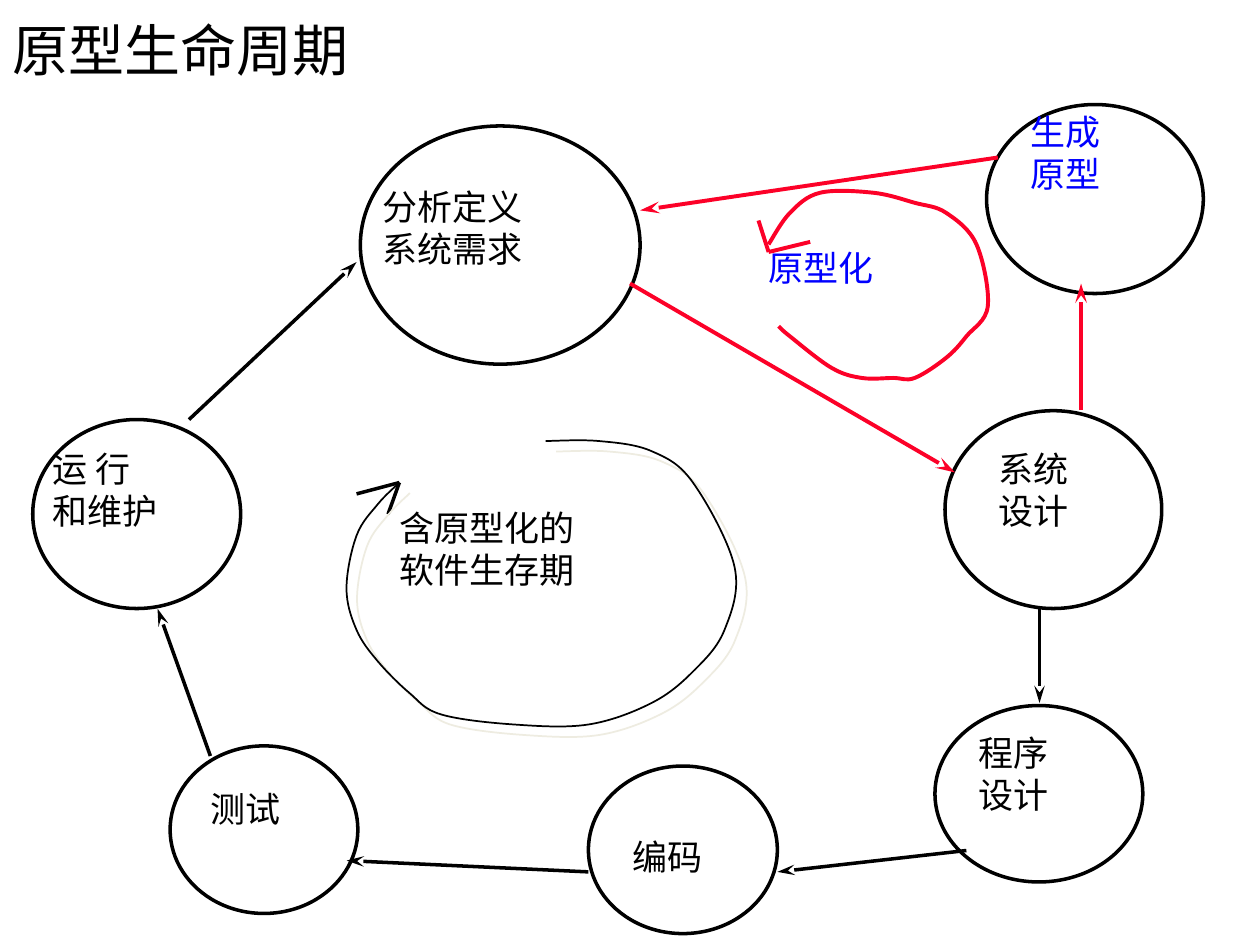
from dataclasses import dataclass

from lxml.etree import SubElement
from pptx import Presentation
from pptx.dml.color import RGBColor
from pptx.enum.shapes import MSO_CONNECTOR, MSO_SHAPE
from pptx.oxml.ns import qn
from pptx.util import Inches, Pt


@dataclass(frozen=True)
class Theme:
    black: str = "000000"
    red: str = "FC0128"
    blue: str = "0000FF"
    shade: str = "EEECE1"
    font: str = "Noto Sans CJK SC"
    head: str = "Calibri"
    title: int = 32
    body: int = 20
    thin: float = 1
    line: float = 2
    bold: float = 2.25


THEME = Theme()

# Circles: left, top, width, height
NODES = [
    (2.86, 1, 2.22, 1.89),
    (0.26, 3.33, 1.65, 1.5),
    (7.83, 0.83, 1.72, 1.5),
    (7.5, 3.26, 1.72, 1.57),
    (7.42, 5.6, 1.65, 1.4),
    (1.35, 5.92, 1.49, 1.33),
    (4.67, 6.08, 1.5, 1.33),
]

# Labels: left, top, width, height, text, colour
LABELS = [
    (2.94, 1.42, 1.33, 0.77, "分析定义\n系统需求", THEME.black),
    (8.08, 0.83, 1.2, 0.77, "生成\n原型", THEME.blue),
    (7.83, 3.5, 0.76, 0.77, "系统\n设计", THEME.black),
    (7.67, 5.76, 0.76, 0.77, "程序\n设计", THEME.black),
    (4.92, 6.58, 0.76, 0.44, "编码", THEME.black),
    (1.57, 6.2, 0.76, 0.44, "测试", THEME.black),
    (0.32, 3.5, 1.04, 0.77, "运 行\n和维护", THEME.black),
    (6, 1.91, 1.04, 0.44, "原型化", THEME.blue),
    (3.07, 3.97, 1.61, 0.77, "含原型化的\n软件生存期", THEME.black),
]

# Straight lines: start, end
PROTO_STEPS = [
    ((7.92, 1.25), (5.08, 1.67)),
    ((5, 2.25), (7.58, 3.75)),
    ((8.58, 3.25), (8.58, 2.25)),
]
CYCLE_STEPS = [
    ((8.25, 4.83), (8.25, 5.58)),
    ((7.67, 6.75), (6.17, 6.92)),
    ((4.67, 6.92), (2.75, 6.83)),
    ((1.67, 6), (1.25, 4.83)),
    ((1.5, 3.33), (2.83, 2.08)),
]
PROTO_TIP = [((6.1, 2), (6.43, 1.92)), ((6.1, 2), (6.02, 1.75))]
CYCLE_TIP = [((2.83, 3.92), (3.17, 3.83)), ((3.17, 3.83), (3.08, 4.08))]

# Points that each loop passes through
PROTO_LOOP = [
    (6.1, 1.94), (6.27, 1.69), (6.51, 1.53), (6.93, 1.53), (7.26, 1.61),
    (7.51, 1.69), (7.75, 1.94), (7.84, 2.43), (7.67, 2.67), (7.51, 2.84),
    (7.26, 3), (7.09, 3), (6.84, 3), (6.6, 2.92), (6.27, 2.67), (6.18, 2.59),
]
CYCLE_LOOP = [
    (3.17, 3.83), (3, 4), (2.83, 4.25), (2.75, 4.67), (2.83, 5), (3, 5.25),
    (3.25, 5.5), (3.5, 5.67), (4.08, 5.75), (4.67, 5.75), (5.17, 5.58),
    (5.5, 5.33), (5.75, 5), (5.83, 4.5), (5.5, 3.83), (5.17, 3.58),
    (4.75, 3.5), (4.33, 3.5),
]


def set_line(shape, color, width):
    shape.line.color.rgb = RGBColor.from_string(color)
    shape.line.width = Pt(width)


def add_text(slide, box, text, color, size, font, wrap=False):
    shape = slide.shapes.add_textbox(*map(Inches, box))
    frame = shape.text_frame
    frame.word_wrap = wrap
    frame.text = text
    for para in frame.paragraphs:
        for run in para.runs:
            run.font.size = Pt(size)
            run.font.name = font
            run.font.color.rgb = RGBColor.from_string(color)
            east = SubElement(run._r.get_or_add_rPr(), qn("a:ea"))
            east.set("typeface", THEME.font)


def add_node(slide, box):
    node = slide.shapes.add_shape(MSO_SHAPE.OVAL, *map(Inches, box))
    node.shadow.inherit = False
    node.fill.background()
    set_line(node, THEME.black, THEME.line)


def add_line(slide, start, end, color, width, arrow=False):
    line = slide.shapes.add_connector(
        MSO_CONNECTOR.STRAIGHT, *map(Inches, start + end))
    set_line(line, color, width)
    SubElement(line._element.spPr, qn("a:effectLst"))
    if arrow:
        tail = SubElement(line.line._get_or_add_ln(), qn("a:tailEnd"))
        tail.set("type", "stealth")
        tail.set("w", "med")
        tail.set("len", "lg")


def bend(shape):
    """Turn the straight segments of a freeform into smooth cubic curves."""
    track = next(shape._element.spPr.iter(qn("a:path")))
    points = [(int(pt.get("x")), int(pt.get("y")))
              for pt in track.iter(qn("a:pt"))]
    for seg in track.findall(qn("a:lnTo")):
        track.remove(seg)
    ends = [points[0], *points, points[-1]]
    for a, b, c, d in zip(ends, ends[1:], ends[2:], ends[3:]):
        lead = [q + (r - p) / 6 for p, q, r in zip(a, b, c)]
        trail = [q - (r - p) / 6 for p, q, r in zip(b, c, d)]
        curve = SubElement(track, qn("a:cubicBezTo"))
        for x, y in (lead, trail, c):
            pt = SubElement(curve, qn("a:pt"))
            pt.set("x", str(round(x)))
            pt.set("y", str(round(y)))


def add_loop(slide, points, color, width):
    start, *rest = [(Inches(x), Inches(y)) for x, y in points]
    pen = slide.shapes.build_freeform(*start)
    pen.add_line_segments(rest, close=False)
    loop = pen.convert_to_shape()
    bend(loop)
    loop.shadow.inherit = False
    loop.fill.background()
    set_line(loop, color, width)
    return loop


def add_shadow(shape):
    effects = shape._element.spPr.find(qn("a:effectLst"))
    outer = SubElement(effects, qn("a:outerShdw"))
    outer.set("dist", str(Pt(8.5)))
    outer.set("dir", str(45 * 60000))
    outer.set("algn", "ctr")
    outer.set("rotWithShape", "0")
    SubElement(outer, qn("a:srgbClr")).set("val", THEME.shade)


def main():
    deck = Presentation()
    deck.slide_width, deck.slide_height = Inches(10), Inches(7.5)
    slide = deck.slides.add_slide(deck.slide_layouts[6])

    add_text(slide, (0, 0.07, 3.59, 0.72), "原型生命周期",
             THEME.black, THEME.title, THEME.head, wrap=True)
    for box in NODES:
        add_node(slide, box)
    for *box, text, color in LABELS:
        add_text(slide, box, text, color, THEME.body, THEME.font)

    groups = [
        (PROTO_STEPS, THEME.red, THEME.bold, True),
        (CYCLE_STEPS, THEME.black, THEME.line, True),
        (PROTO_TIP, THEME.red, THEME.bold, False),
        (CYCLE_TIP, THEME.black, THEME.line, False),
    ]
    for lines, color, width, arrow in groups:
        for start, end in lines:
            add_line(slide, start, end, color, width, arrow)

    add_loop(slide, PROTO_LOOP, THEME.red, THEME.bold)
    add_shadow(add_loop(slide, CYCLE_LOOP, THEME.black, THEME.thin))
    deck.save("out.pptx")


if __name__ == "__main__":
    main()
